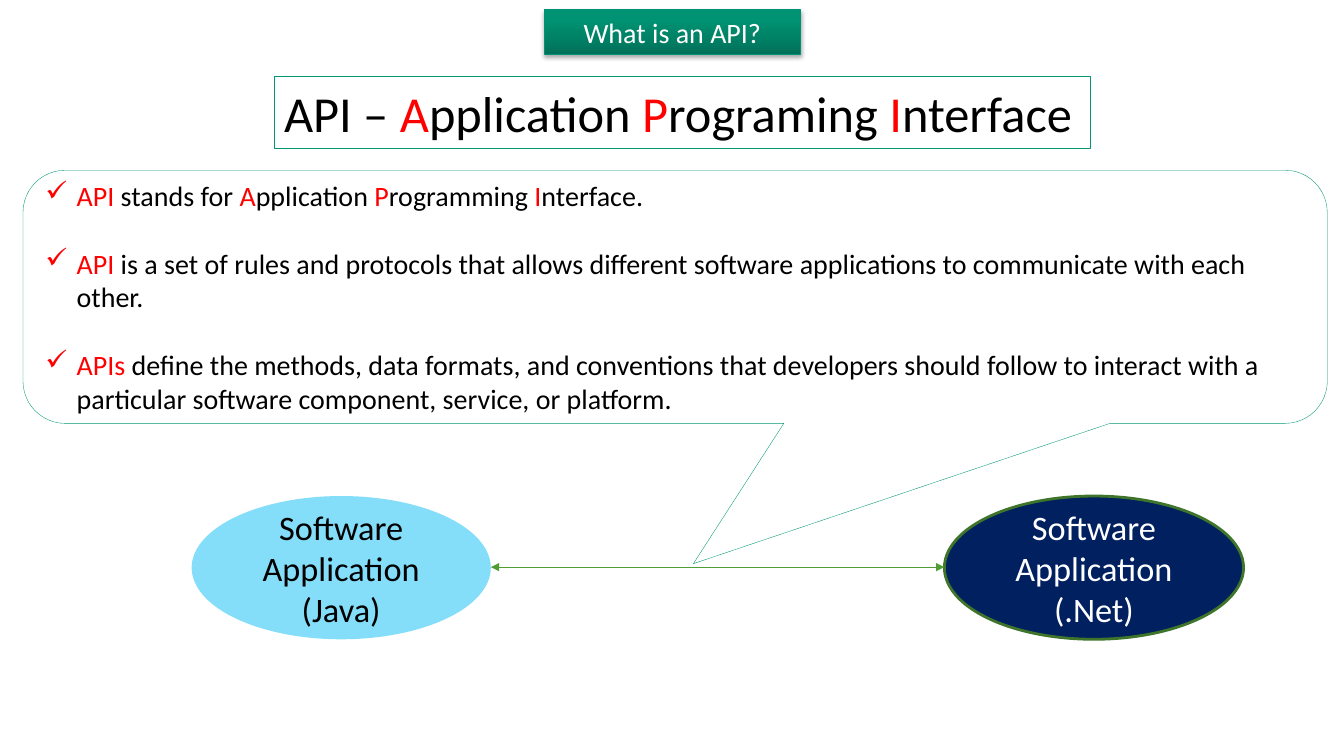
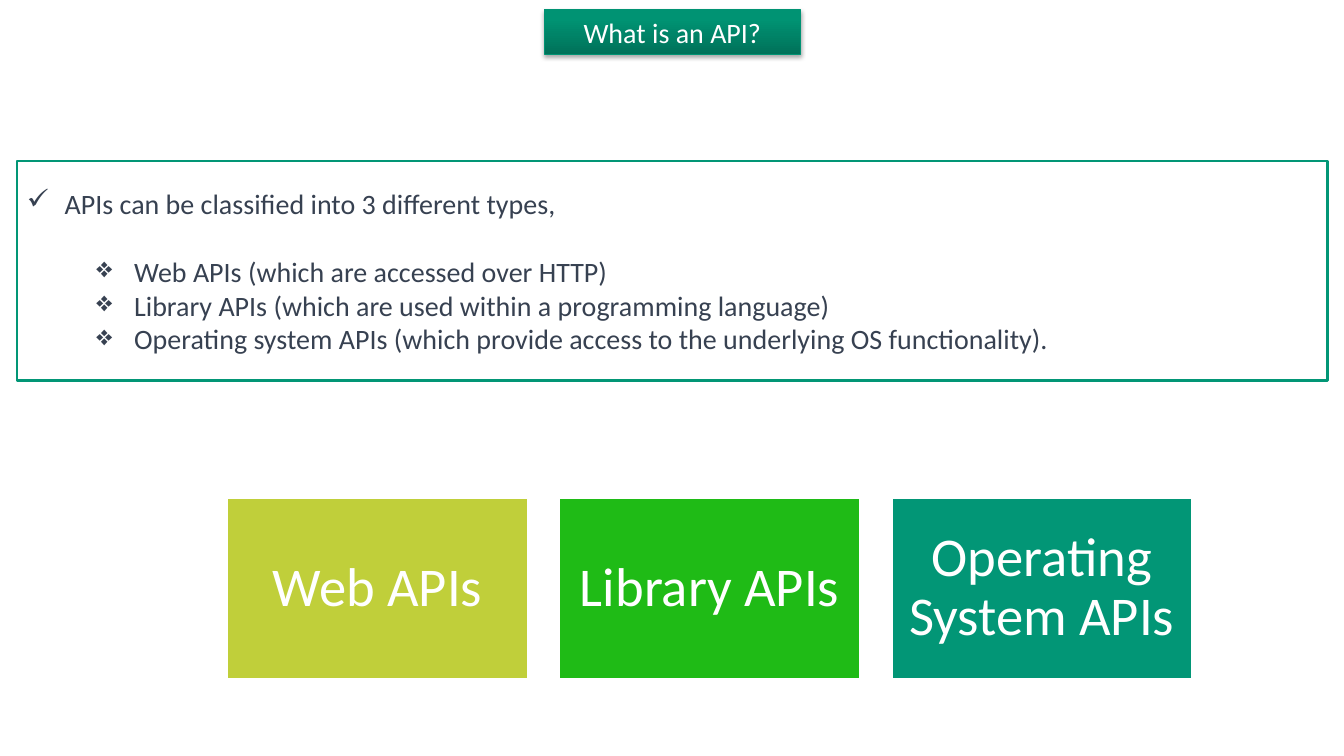
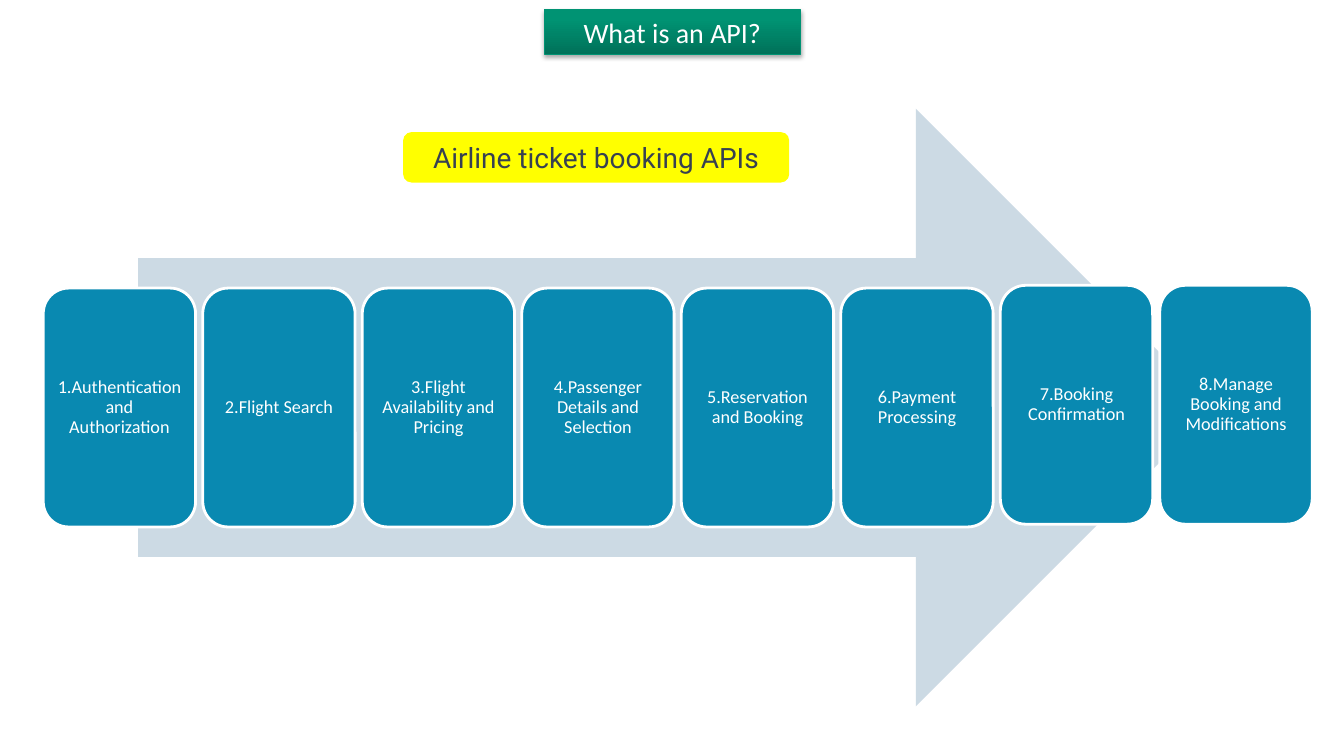
from lxml.etree import SubElement
from pptx import Presentation
from pptx.dml.color import RGBColor
from pptx.enum.shapes import MSO_CONNECTOR, MSO_SHAPE
from pptx.enum.text import MSO_ANCHOR, PP_ALIGN
from pptx.oxml.ns import qn
from pptx.util import Cm, Pt

COLORS = {
    "white": "FFFFFF", "black": "000000", "red": "FF0000", "slate": "374151",
    "teal": "029676", "title_dark": "007159", "title_light": "009373",
    "sky": "84DDF9", "navy": "002060", "olive": "3E752A", "green": "519D35",
    "lime": "C0CF3A", "leaf": "1FBB16", "blue": "0989B1",
    "arrow": "CCDAE4", "yellow": "FFFF00",
}
FONT = "Calibri"
BODY_SIZE = 20
BLANK_LINE = 24.4


def rgb(name):
    return RGBColor.from_string(COLORS[name])


# Text
def add_run(paragraph, text, size, color, font=FONT):
    run = paragraph.add_run()
    run.text = text
    run.font.size = Pt(size)
    run.font.name = font
    run.font.color.rgb = rgb(color)


def add_marked_runs(paragraph, text, size, color, accent="red"):
    """Write text whose parts between asterisks take the accent colour."""
    for index, part in enumerate(text.split("*")):
        if part:
            add_run(paragraph, part, size, accent if index % 2 else color)


def set_bullet(paragraph, symbol, indent, hanging):
    properties = paragraph._p.get_or_add_pPr()
    properties.set("marL", str(Cm(indent)))
    properties.set("indent", str(-Cm(hanging)))
    SubElement(properties, qn("a:buChar")).set("char", symbol)


def add_bullets(shape, items, color, hanging):
    """Each item is (symbol, indent, text, space after)."""
    frame = shape.text_frame
    for index, (symbol, indent, text, space_after) in enumerate(items):
        paragraph = frame.add_paragraph() if index else frame.paragraphs[0]
        paragraph.alignment = PP_ALIGN.LEFT
        set_bullet(paragraph, symbol, indent, hanging)
        paragraph.space_after = Pt(space_after)
        add_marked_runs(paragraph, text, BODY_SIZE, color)


def write_label(shape, text, size, color, font=FONT, inset=None, spacing=None):
    frame = shape.text_frame
    if inset is not None:
        frame.margin_left = frame.margin_right = Cm(inset)
        frame.margin_top = frame.margin_bottom = Cm(inset)
    paragraph = frame.paragraphs[0]
    paragraph.alignment = PP_ALIGN.CENTER
    if spacing:
        paragraph.line_spacing = spacing
    add_run(paragraph, text, size, color, font)


# Shapes
def add_box(slide, kind, left, top, width, height, fill, line=None, line_width=2):
    shape = slide.shapes.add_shape(kind, Cm(left), Cm(top), Cm(width), Cm(height))
    shape.shadow.inherit = False
    shape.fill.solid()
    shape.fill.fore_color.rgb = rgb(fill)
    if line:
        shape.line.color.rgb = rgb(line)
        shape.line.width = Pt(line_width)
    else:
        shape.line.fill.background()
    shape.text_frame.word_wrap = True
    shape.text_frame.vertical_anchor = MSO_ANCHOR.MIDDLE
    return shape


def add_double_arrow(slide, left, right, y, color):
    connector = slide.shapes.add_connector(
        MSO_CONNECTOR.STRAIGHT, Cm(left), Cm(y), Cm(right), Cm(y))
    connector.line.color.rgb = rgb(color)
    connector.line.width = Pt(0.75)
    line = connector.line._get_or_add_ln()
    for end in ("a:headEnd", "a:tailEnd"):
        SubElement(line, qn(end)).set("type", "triangle")
    SubElement(connector._element.spPr, qn("a:effectLst"))


def add_soft_shadow(shape):
    effects = SubElement(shape._element.spPr, qn("a:effectLst"))
    shadow = SubElement(effects, qn("a:outerShdw"), blurRad=str(Pt(3.1)),
                        dist=str(Pt(1.8)), dir="5400000", rotWithShape="0")
    color = SubElement(shadow, qn("a:srgbClr"), val=COLORS["black"])
    SubElement(color, qn("a:alpha"), val="35000")


# Slide with the shared title banner
def add_titled_slide(presentation):
    slide = presentation.slides.add_slide(presentation.slide_layouts[5])
    title = slide.shapes.title
    title.left, title.top, title.width, title.height = (
        Cm(13.72), Cm(0.25), Cm(6.45), Cm(1.12))
    title.fill.gradient()
    title.fill.gradient_angle = 90
    dark, light = title.fill.gradient_stops
    dark.color.rgb = rgb("title_dark")
    light.color.rgb = rgb("title_light")
    light.position = 0.8
    title.line.color.rgb = rgb("title_light")
    title.line.width = Pt(0.75)
    add_soft_shadow(title)
    title.text_frame.vertical_anchor = MSO_ANCHOR.MIDDLE
    write_label(title, "What is an API?", 20, "white")
    return slide


def build_definition(presentation):
    slide = add_titled_slide(presentation)

    # Two applications and the link between them
    top, width, height = 12.5, 7.54, 3.61
    java_left, net_left = 4.83, 23.8
    java = add_box(slide, MSO_SHAPE.OVAL, java_left, top, width, height, "sky")
    write_label(java, "Software Application (Java)", 24.5, "black")
    net = add_box(slide, MSO_SHAPE.OVAL, net_left, top, width, height, "navy", "olive")
    write_label(net, "Software Application (.Net)", 24.5, "white")
    add_double_arrow(slide, java_left + width, net_left, 14.29, "green")

    # Callout with the definition
    callout = add_box(slide, MSO_SHAPE.ROUNDED_RECTANGULAR_CALLOUT,
                      0.58, 4.29, 32.87, 6.38, "white", "teal", 0.25)
    for index, value in enumerate((0.014, 1.054, 0.167)):
        callout.adjustments[index] = value
    add_bullets(callout, [
        ("✓", 0.79, "*API* stands for *A*pplication *P*rogramming *I*nterface.", BLANK_LINE),
        ("✓", 0.79, "*API* is a set of rules and protocols that allows different software "
         "applications to communicate with each other.", BLANK_LINE),
        ("✓", 0.79, "*APIs* define the methods, data formats, and conventions that developers "
         "should follow to interact with a particular software component, service, "
         "or platform.", 0),
    ], "black", 0.79)

    # Spelled-out name
    heading = add_box(slide, MSO_SHAPE.RECTANGLE, 6.91, 1.93, 20.57, 1.8,
                      "white", "teal", 0.25)
    paragraph = heading.text_frame.paragraphs[0]
    paragraph.alignment = PP_ALIGN.LEFT
    add_marked_runs(paragraph, "API – *A*pplication *P*rograming *I*nterface", 36, "black")


def build_types(presentation):
    slide = add_titled_slide(presentation)

    # One card for each type
    cards = [("Web APIs", "lime"), ("Library APIs", "leaf"),
             ("Operating System APIs", "teal")]
    for index, (text, fill) in enumerate(cards):
        card = add_box(slide, MSO_SHAPE.RECTANGLE, 5.72 + index * 8.37, 12.55,
                       7.59, 4.57, fill, "white")
        write_label(card, text, 39, "white", inset=0.41, spacing=0.9)

    # Classification list
    panel = add_box(slide, MSO_SHAPE.RECTANGLE, 0.43, 4.06, 33.02, 5.54, "white", "teal")
    add_bullets(panel, [
        ("✓", 0.95, "APIs can be classified into 3 different types,", BLANK_LINE),
        ("❖", 2.7, "Web APIs (which are accessed over HTTP)", 0),
        ("❖", 2.7, "Library APIs (which are used within a programming language)", 0),
        ("❖", 2.7, "Operating system APIs (which provide access to the underlying "
         "OS functionality).", 0),
    ], "slate", 0.95)


def build_booking(presentation):
    slide = add_titled_slide(presentation)
    add_box(slide, MSO_SHAPE.RIGHT_ARROW, 3.48, 2.74, 27.13, 15.06, "arrow")

    # Booking steps; the last two sit slightly higher
    steps = ["Authentication and Authorization", "Flight Search",
             "Flight Availability and Pricing", "Passenger Details and Selection",
             "Reservation and Booking", "Payment Processing",
             "Booking Confirmation", "Manage Booking and Modifications"]
    for index, text in enumerate(steps):
        top = 7.26 if index < 6 else 7.19
        step = add_box(slide, MSO_SHAPE.ROUNDED_RECTANGLE, 1.09 + index * 4.02, top,
                       3.84, 6.02, "blue", "white")
        write_label(step, f"{index + 1}.{text}", 13, "white", inset=0.13, spacing=0.9)

    # Topic badge
    badge = add_box(slide, MSO_SHAPE.FLOWCHART_ALTERNATE_PROCESS,
                    10.16, 3.33, 9.73, 1.27, "yellow")
    write_label(badge, "Airline ticket booking APIs", 20, "slate", font="Roboto")


def main():
    presentation = Presentation()
    presentation.slide_width = Cm(33.87)
    presentation.slide_height = Cm(19.05)
    build_definition(presentation)
    build_types(presentation)
    build_booking(presentation)
    presentation.save("out.pptx")


if __name__ == "__main__":
    main()
